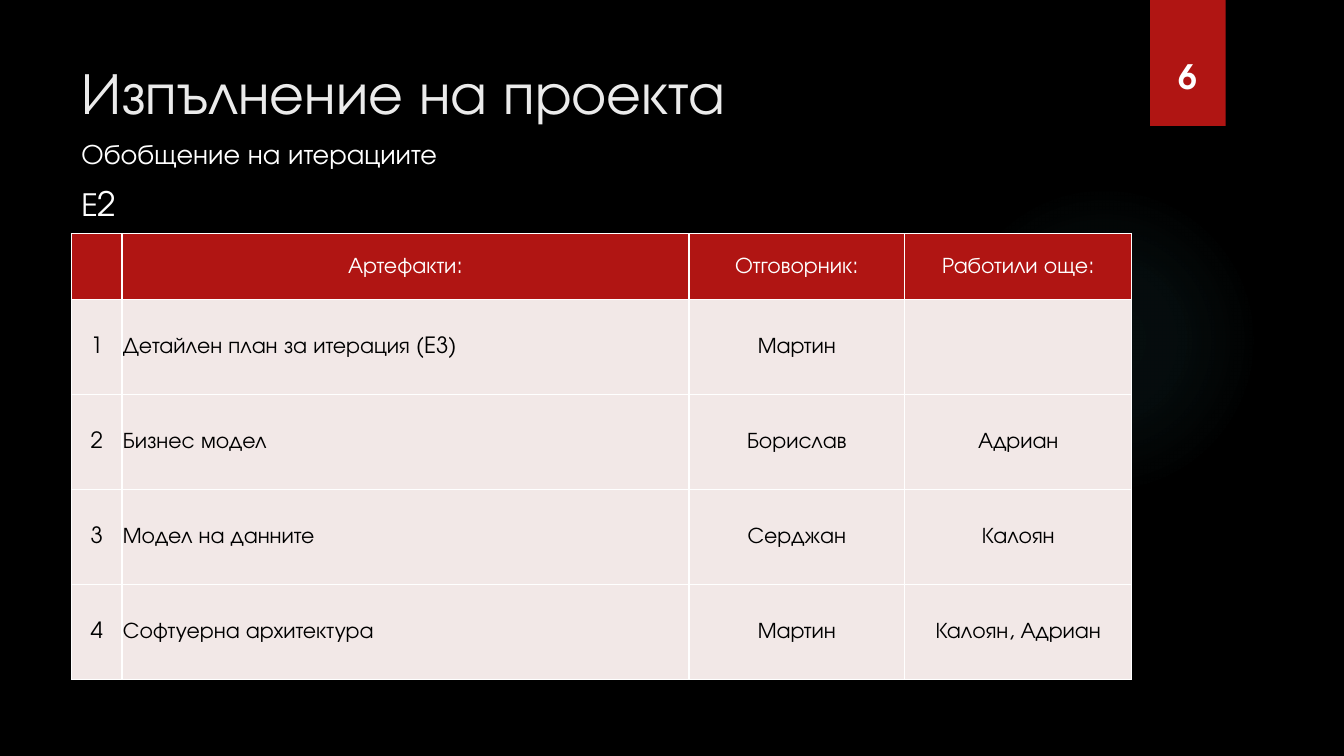
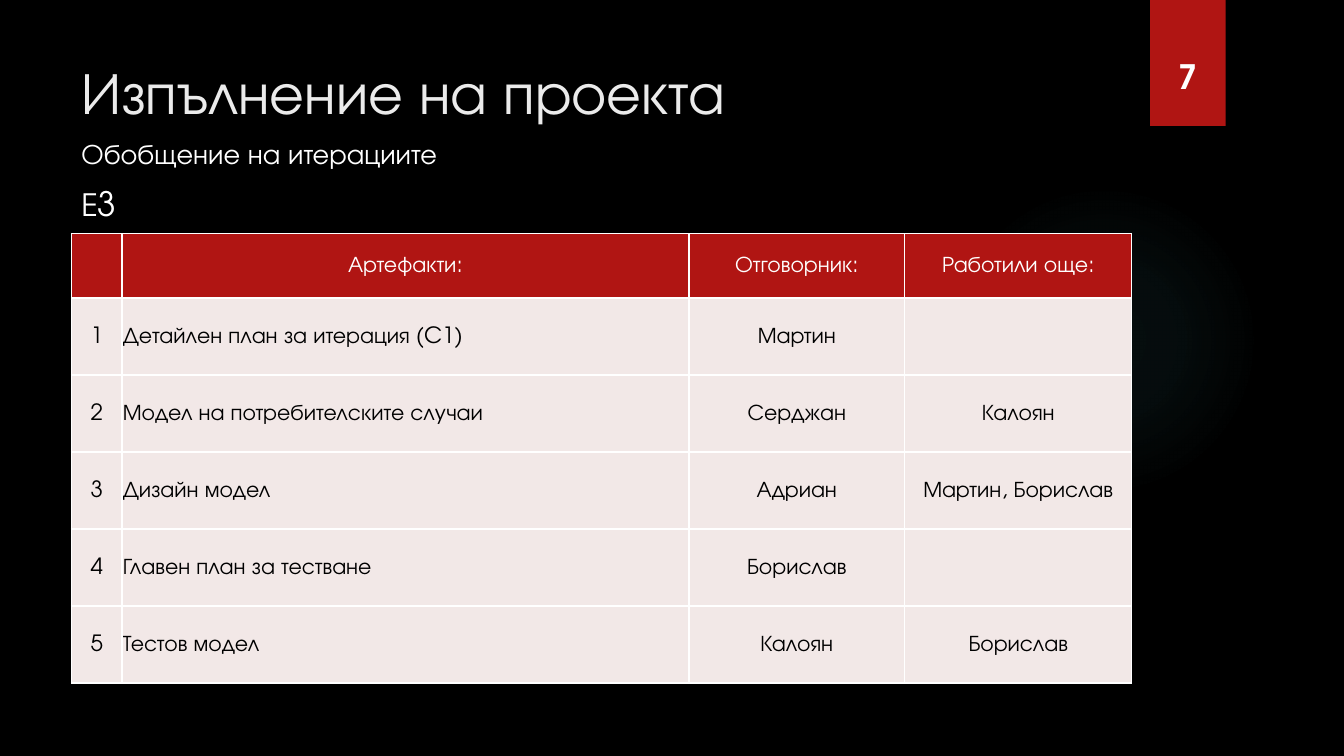
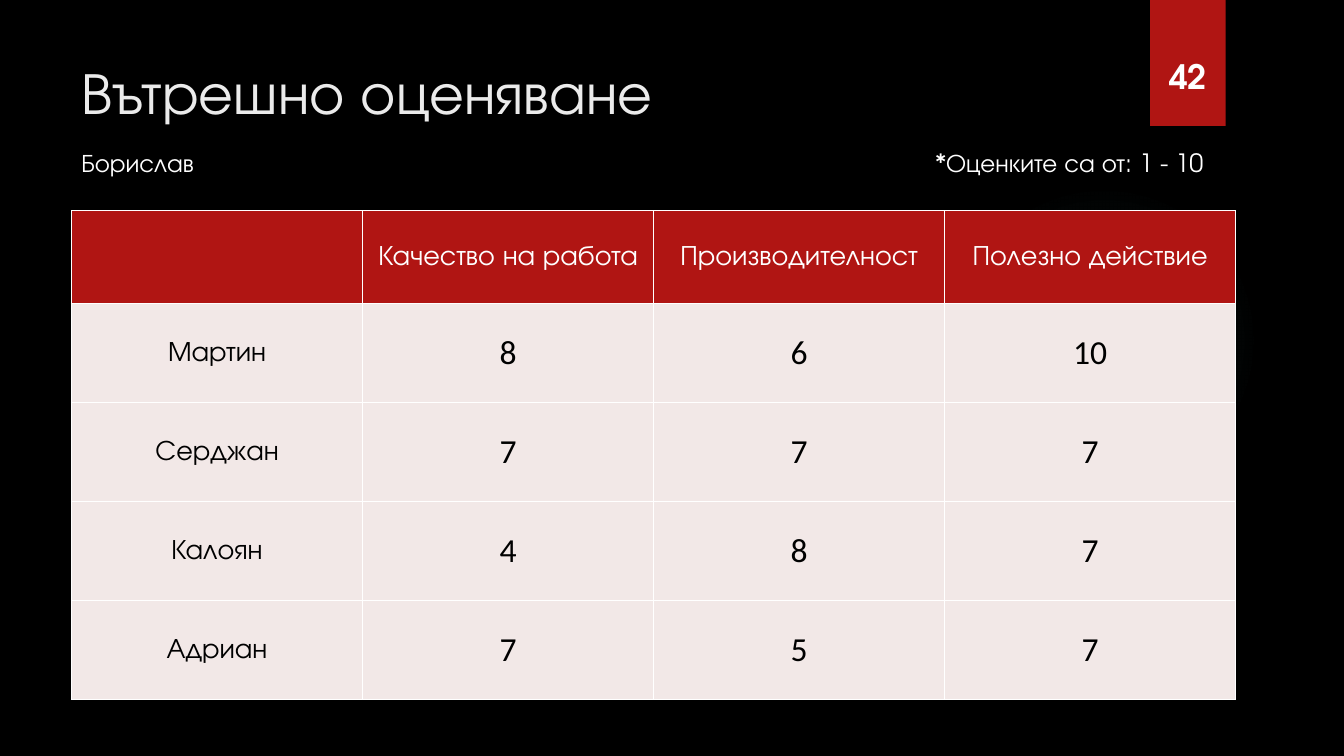
from pptx import Presentation
from pptx.dml.color import RGBColor
from pptx.enum.shapes import MSO_SHAPE
from pptx.enum.text import MSO_ANCHOR, PP_ALIGN
from pptx.oxml import parse_xml
from pptx.util import Pt

RECT, OVAL = MSO_SHAPE.RECTANGLE, MSO_SHAPE.OVAL
TOP, MIDDLE = MSO_ANCHOR.TOP, MSO_ANCHOR.MIDDLE
LEFT, CENTER = PP_ALIGN.LEFT, PP_ALIGN.CENTER
NS = 'xmlns:a="http://schemas.openxmlformats.org/drawingml/2006/main"'

HEX = {"back": "000000", "red": "B01513", "pale": "F2E8E7", "glow": "50B9C1",
       "title": "EBEBEB", "white": "FFFFFF", "black": "000000"}
FONT, DIGITS = "TeX Gyre Adventor", "Calibri"
EDGE = 51.1

# Fonts as (name, size, colour, bold)
TITLE = (FONT, 42, "title", False)
PAGE = (FONT, 24, "white", True)
SUB = (FONT, 20, "white", False)
STAGE = (FONT, 24, "white", False)
NOTE = (FONT, 18, "white", False)

PLAN_HEAD = ["", "Артефакти:", "Отговорник:", "Работили още:"]
PLAN = {"cols": [36, 405, 154.2, 162.2], "top": 167, "size": 16,
        "left": {1}, "digits": (FONT, 16)}
GRADE = {"cols": [207.9] * 4, "top": 150.5, "size": 20,
         "left": set(), "digits": (DIGITS, 24)}


def plan(page, stage, head, row, tasks):
    return {
        "page": page, "title": "Изпълнение на проекта",
        "notes": [("Обобщение на итерациите", EDGE, 93.6, SUB),
                  (stage, EDGE, 127.4, STAGE)],
        "grid": PLAN, "head": head, "row": row,
        "cells": [PLAN_HEAD] + [[str(n), *task] for n, task in enumerate(tasks, 1)],
    }


SLIDES = [
    plan("6", "Е2", 46.8, 67.9, [
        ("Детайлен план за итерация (E3)", "Мартин", ""),
        ("Бизнес модел", "Борислав", "Адриан"),
        ("Модел на данните", "Серджан", "Калоян"),
        ("Софтуерна архитектура", "Мартин", "Калоян, Адриан"),
    ]),
    plan("7", "Е3", 45.9, 55, [
        ("Детайлен план за итерация (C1)", "Мартин", ""),
        ("Модел на потребителските случаи", "Серджан", "Калоян"),
        ("Дизайн модел", "Адриан", "Мартин, Борислав"),
        ("Главен план за тестване", "Борислав", ""),
        ("Тестов модел", "Калоян", "Борислав"),
    ]),
    {
        "page": "42", "title": "Вътрешно оценяване",
        "notes": [("Борислав", EDGE, 101.5, NOTE),
                  ("*Оценките са от: 1 - 10", 661, 101.5, NOTE)],
        "grid": GRADE, "head": 66.3, "row": 70.7,
        "cells": [
            ["", "Качество на работа", "Производителност", "Полезно действие"],
            ["Мартин", "8", "6", "10"],
            ["Серджан", "7", "7", "7"],
            ["Калоян", "4", "8", "7"],
            ["Адриан", "7", "5", "7"],
        ],
    },
]


def rgb(name):
    return RGBColor.from_string(HEX[name])


def paint(fill, name):
    fill.solid()
    fill.fore_color.rgb = rgb(name)


def write(frame, text, style, align=LEFT):
    para = frame.paragraphs[0]
    para.alignment = align
    run = para.add_run()
    run.text = text
    name, size, color, bold = style
    for key, value in {"name": name, "size": Pt(size), "bold": bold}.items():
        setattr(run.font, key, value)
    run.font.color.rgb = rgb(color)


def label(slide, text, left, top, style, width=360, height=36):
    box = slide.shapes.add_textbox(Pt(left), Pt(top), Pt(width), Pt(height))
    box.text_frame.word_wrap = True
    write(box.text_frame, text, style)


def add_shape(slide, kind, *area):
    shape = slide.shapes.add_shape(kind, *map(Pt, area))
    shape.shadow.inherit = False
    shape.line.fill.background()
    return shape


def add_glow(slide):
    """Faint round light that fades out towards its rim."""
    glow = add_shape(slide, OVAL, 677.5, 131.8, 221.8, 221.8)
    glow.fill.background()
    stops = "".join(
        f'<a:gs pos="{pos}000"><a:srgbClr val="{HEX["glow"]}">'
        f'<a:alpha val="{alpha}000"/></a:srgbClr></a:gs>'
        for pos, alpha in [(0, 7), (36, 6), (69, 0), (100, 0)])
    grad = parse_xml(
        f'<a:gradFill {NS} rotWithShape="1"><a:gsLst>{stops}</a:gsLst>'
        '<a:path path="circle"><a:fillToRect l="50000" t="50000" '
        'r="50000" b="50000"/></a:path></a:gradFill>')
    props = glow.element.spPr
    props.replace(props.find("{*}noFill"), grad)


def add_badge(slide, page):
    badge = add_shape(slide, RECT, 821.6, 0, 53.9, 90)
    paint(badge.fill, "red")
    frame = badge.text_frame
    for key, value in {"vertical_anchor": TOP, "margin_top": Pt(39.6),
                       "margin_left": 0, "margin_right": 0}.items():
        setattr(frame, key, value)
    write(frame, page, PAGE, CENTER)


def add_border(cell):
    props = cell._tc.get_or_add_tcPr()
    for spot, side in enumerate("LRTB"):
        props.insert(spot, parse_xml(
            f'<a:ln{side} {NS} w="{Pt(1)}"><a:solidFill>'
            f'<a:srgbClr val="{HEX["white"]}"/></a:solidFill></a:ln{side}>'))


def add_grid(slide, data):
    grid, cells = data["grid"], data["cells"]
    cols = grid["cols"]
    rows = [data["head"]] + [data["row"]] * (len(cells) - 1)
    table = slide.shapes.add_table(
        len(rows), len(cols), Pt(EDGE), Pt(grid["top"]),
        Pt(sum(cols)), Pt(sum(rows))).table
    table.first_row = table.horz_banding = False
    for col, width in zip(table.columns, cols):
        col.width = Pt(width)
    for r, (height, texts) in enumerate(zip(rows, cells)):
        table.rows[r].height = Pt(height)
        for c, text in enumerate(texts):
            cell = table.cell(r, c)
            for key, value in {"vertical_anchor": MIDDLE, "margin_left": Pt(0.7),
                               "margin_right": Pt(0.7), "margin_top": Pt(0.7),
                               "margin_bottom": 0}.items():
                setattr(cell, key, value)
            paint(cell.fill, "pale" if r else "red")
            add_border(cell)
            if text:
                font = grid["digits"] if text.isdigit() else (FONT, grid["size"])
                align = LEFT if r and c in grid["left"] else CENTER
                write(cell.text_frame, text,
                      (*font, "black" if r else "white", False), align)


def main():
    deck = Presentation()
    deck.slide_width, deck.slide_height = Pt(960), Pt(540)
    paint(deck.slide_master.background.fill, "back")
    for data in SLIDES:
        slide = deck.slides.add_slide(deck.slide_layouts[6])
        add_glow(slide)
        add_badge(slide, data["page"])
        label(slide, data["title"], EDGE, 36, TITLE, 741, 58)
        for text, left, top, style in data["notes"]:
            label(slide, text, left, top, style, 240 if left > EDGE else 410, 32)
        add_grid(slide, data)
    deck.save("out.pptx")


if __name__ == "__main__":
    main()
